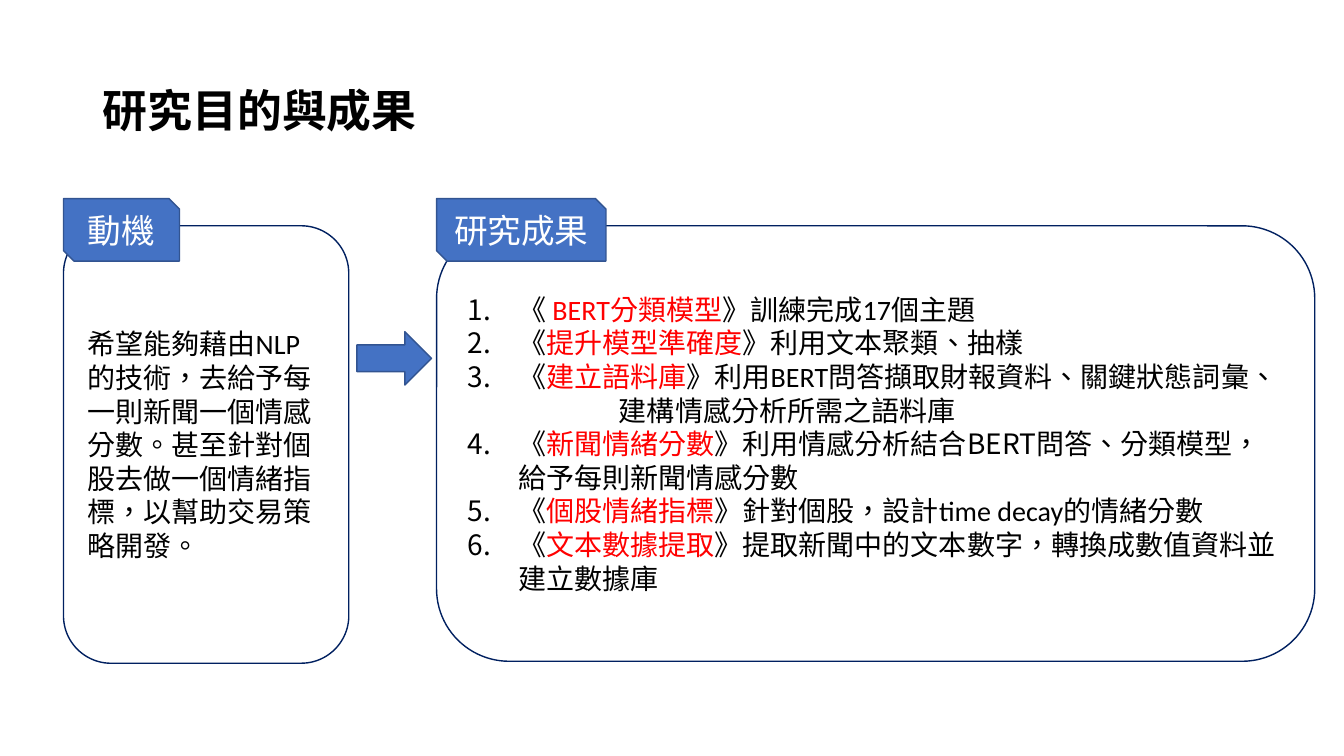
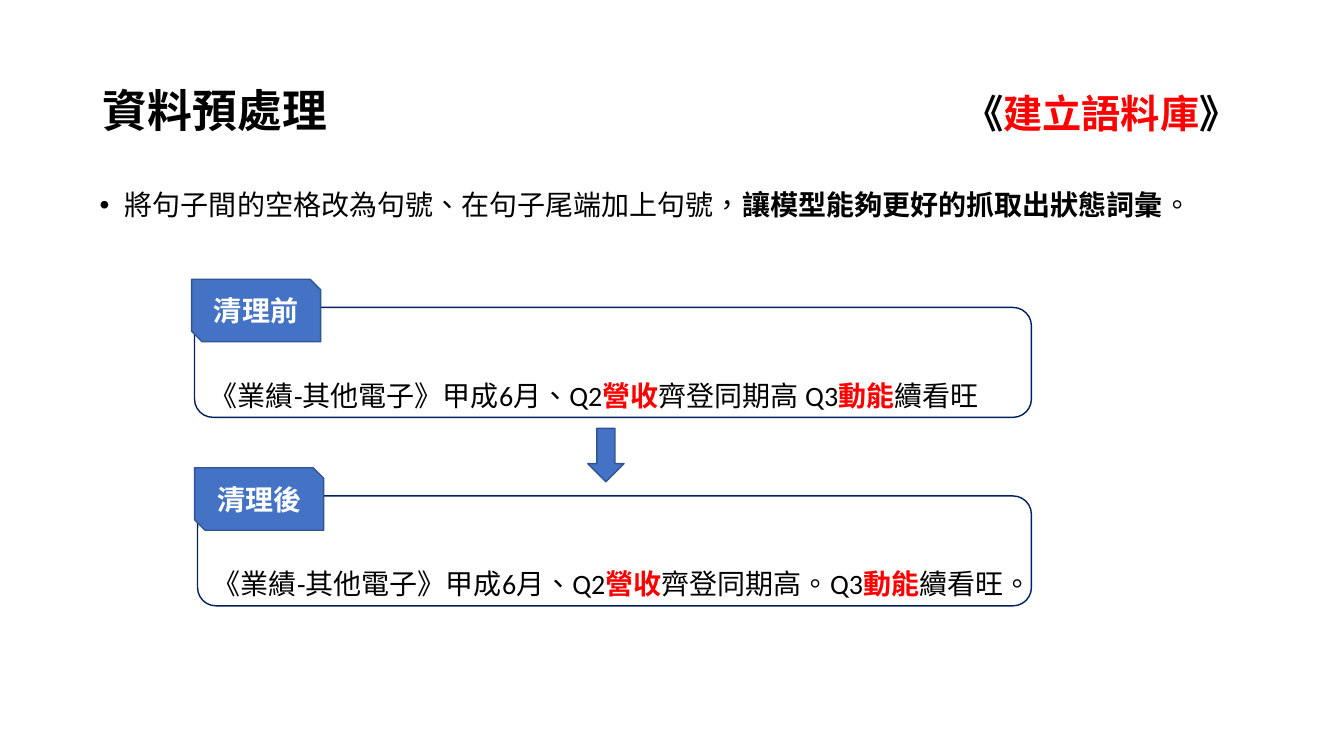
import pptx
import pptx.util
import pptx.dml.color
import pptx.enum.shapes
import pptx.enum.text
import pptx.oxml
import pptx.oxml.ns

Inches, Pt = pptx.util.Inches, pptx.util.Pt
RGBColor = pptx.dml.color.RGBColor
SHAPE = pptx.enum.shapes.MSO_SHAPE
ANCHOR = pptx.enum.text.MSO_ANCHOR
ALIGN = pptx.enum.text.PP_ALIGN
qn = pptx.oxml.ns.qn

BLACK = RGBColor(0x00, 0x00, 0x00)
WHITE = RGBColor(0xFF, 0xFF, 0xFF)
RED = RGBColor(0xFF, 0x00, 0x00)
NAVY = RGBColor(0x00, 0x20, 0x60)
BLUE = RGBColor(0x44, 0x72, 0xC4)
DARK_BLUE = RGBColor(0x32, 0x54, 0x91)
CJK, LATIN = "Noto Sans CJK SC", "Calibri"

# Run formats that differ from the base format of a paragraph
PLAIN = {}
IN_LATIN = {"name": LATIN}
IN_CJK = {"name": CJK}
RED_TEXT = {"color": RED}
RED_LATIN = {"color": RED, "name": LATIN}
RED_BOLD = {"color": RED, "bold": True}
BOLD = {"bold": True}


def write(p, runs, align=ALIGN.LEFT, **base):
    """Fill a paragraph with (text, format) runs laid over a base format."""
    p.alignment = align
    for text, changes in runs:
        style = {"name": CJK, "size": 20, "color": BLACK, "bold": False, **base, **changes}
        r = p.add_run()
        r.text = text
        r.font.color.rgb = style.pop("color")
        r.font.size = Pt(style.pop("size"))
        for key, value in style.items():
            setattr(r.font, key, value)
        rpr = r._r.get_or_add_rPr()
        rpr.set("lang", "zh-TW")
        east_asian = pptx.oxml.parse_xml('<a:ea %s typeface="%s"/>' % (pptx.oxml.ns.nsdecls("a"), CJK))
        rpr.append(east_asian)


def add_box(s, kind, frame, fill, line):
    """Add a filled, outlined shape and return its text frame."""
    sp = s.shapes.add_shape(kind, *map(Inches, frame))
    sp.shadow.inherit = False
    sp.fill.solid()
    sp.fill.fore_color.rgb = fill
    sp.line.color.rgb = line
    sp.line.width = Pt(1)
    tf = sp.text_frame
    tf.word_wrap = True
    tf.vertical_anchor = ANCHOR.MIDDLE
    return tf


prs = pptx.Presentation()
prs.slide_width, prs.slide_height = Inches(13.33), Inches(7.5)

# Titled slides
slides = []
for heading, font in [("研究目的與成果", CJK), ("資料預處理", LATIN)]:
    s = prs.slides.add_slide(prs.slide_layouts[5])
    title = s.shapes.title
    title.left, title.top, title.width, title.height = map(Inches, (0.92, 0.4, 11.5, 1.45))
    tf = title.text_frame
    tf.vertical_anchor = ANCHOR.MIDDLE
    tf.auto_size = pptx.enum.text.MSO_AUTO_SIZE.NONE
    tf.paragraphs[0].line_spacing = 0.9
    write(tf.paragraphs[0], [(heading, PLAIN)], name=font, size=32, bold=True)
    slides.append(s)
goals, cleaning = slides

# Slide 1: motivation leads to results
add_box(goals, SHAPE.RIGHT_ARROW, (3.54, 3.29, 0.74, 0.53), BLUE, DARK_BLUE)

motivation = add_box(goals, SHAPE.ROUNDED_RECTANGLE, (0.63, 2.24, 2.83, 4.34), WHITE, NAVY)
write(motivation.paragraphs[0], [
    ("希望能夠藉由", PLAIN), ("NLP", IN_LATIN),
    ("的技術，去給予每一則新聞一個情感分數。甚至針對個股去做一個情緒指標，以幫助交易策略開發。", PLAIN)])

# Each result: number its list starts from (None for a continuation line), runs
RESULTS = [
    (1, [("《 ", PLAIN), ("BERT分", RED_LATIN), ("類模型", RED_TEXT),
         ("》訓練完成", PLAIN), ("17", IN_LATIN), ("個主題", PLAIN)]),
    (1, [("《", PLAIN), ("提升模型準確度", RED_TEXT), ("》利用文本聚類、抽樣", PLAIN)]),
    (1, [("《", PLAIN), ("建立語料庫", RED_TEXT), ("》利用", PLAIN), ("BERT", IN_LATIN),
         ("問答擷取財報資料、關鍵狀態詞彙、", PLAIN)]),
    (None, [("建構情感分析所需之語料庫", PLAIN)]),
    (4, [("《", PLAIN), ("新聞情緒分數", RED_TEXT),
         ("》利用情感分析結合BERT問答、分類模型，給予每則新聞情感分數", PLAIN)]),
    (4, [("《", PLAIN), ("個股情緒指標", RED_TEXT), ("》針對個股，設計", PLAIN),
         ("time decay", IN_LATIN), ("的情緒分數", PLAIN)]),
    (4, [("《", PLAIN), ("文本數據提取", RED_TEXT),
         ("》提取新聞中的文本數字，轉換成數值資料並建立數據庫", PLAIN)]),
]
results = add_box(goals, SHAPE.ROUNDED_RECTANGLE, (4.33, 2.24, 8.71, 4.32), WHITE, NAVY)
for i, (start, runs) in enumerate(RESULTS):
    p = results.add_paragraph() if i else results.paragraphs[0]
    write(p, runs)
    ppr = p._p.get_or_add_pPr()
    if start is None:
        ppr.set("marL", str(Inches(1.5)))
        ppr.set("indent", "0")
        continue
    ppr.set("marL", str(Inches(0.5)))
    ppr.set("indent", str(-Inches(0.5)))
    number = ppr.makeelement(qn("a:buAutoNum"), {"type": "arabicPeriod"})
    if start > 1:
        number.set("startAt", str(start))
    ppr.append(number)

for label, left, width in [("動機", 0.63, 1.15), ("研究成果", 4.33, 1.68)]:
    tab = add_box(goals, SHAPE.SNIP_2_DIAG_RECTANGLE, (left, 1.97, width, 0.62), BLUE, DARK_BLUE)
    write(tab.paragraphs[0], [(label, PLAIN)], ALIGN.CENTER, size=24, color=WHITE)

# Slide 2: a sentence before and after cleaning
tf = cleaning.shapes.add_textbox(*map(Inches, (0.89, 1.85, 11.5, 5.03))).text_frame
tf.word_wrap = True
p = tf.paragraphs[0]
p.line_spacing = 0.9
write(p, [("將句子間的空格改為句號、在句子尾端加上句號，", PLAIN),
          ("讓模型能夠更好的抓取出狀態詞彙", BOLD), ("。", PLAIN)], name=LATIN)
ppr = p._p.get_or_add_pPr()
ppr.set("marL", str(Inches(0.25)))
ppr.set("indent", str(-Inches(0.25)))
ppr.append(ppr.makeelement(qn("a:buFont"), {"typeface": "Arial"}))
ppr.append(ppr.makeelement(qn("a:buChar"), {"char": "•"}))

STAGES = [
    ("清理前", 1.93, 3.05, 8.3, "齊登同期高 Q3", "續看旺"),
    ("清理後", 1.96, 4.92, 8.27, "齊登同期高。Q3", "續看旺。"),
]
for label, left, top, width, middle, ending in STAGES:
    sentence = add_box(cleaning, SHAPE.ROUNDED_RECTANGLE, (left, top, width, 1.09), WHITE, NAVY)
    sentence.vertical_anchor = ANCHOR.BOTTOM
    sentence.margin_top = sentence.margin_bottom = 0
    write(sentence.paragraphs[0], [
        ("《業績-其他電子》甲成6月、Q2", PLAIN), ("營收", RED_BOLD), (middle, PLAIN),
        ("動能", RED_BOLD), (ending, PLAIN)], name=LATIN)
    tab = add_box(cleaning, SHAPE.SNIP_2_DIAG_RECTANGLE,
                  (left - 0.03, top - 0.28, 1.28, 0.62), BLUE, DARK_BLUE)
    write(tab.paragraphs[0], [(label, BOLD)], ALIGN.CENTER, color=WHITE)

add_box(cleaning, SHAPE.DOWN_ARROW, (5.83, 4.25, 0.36, 0.53), BLUE, DARK_BLUE)

tf = cleaning.shapes.add_textbox(*map(Inches, (6.73, 0.42, 5.65, 1.45))).text_frame
tf.word_wrap = True
tf.vertical_anchor = ANCHOR.MIDDLE
tf.paragraphs[0].line_spacing = 0.9
write(tf.paragraphs[0], [("《", PLAIN), ("建立語料庫", {**RED_TEXT, **IN_CJK}), ("》", PLAIN)],
      ALIGN.RIGHT, name=LATIN, size=28, bold=True)

prs.save("out.pptx")
